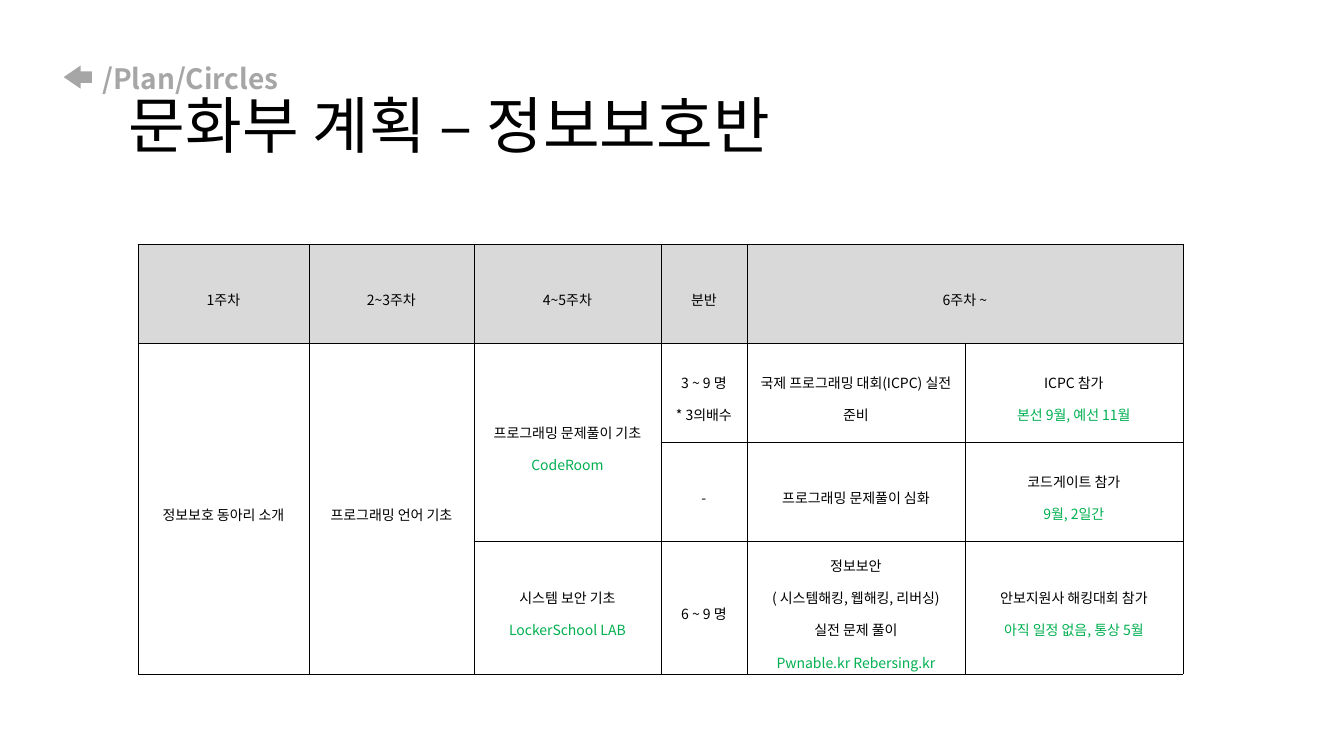
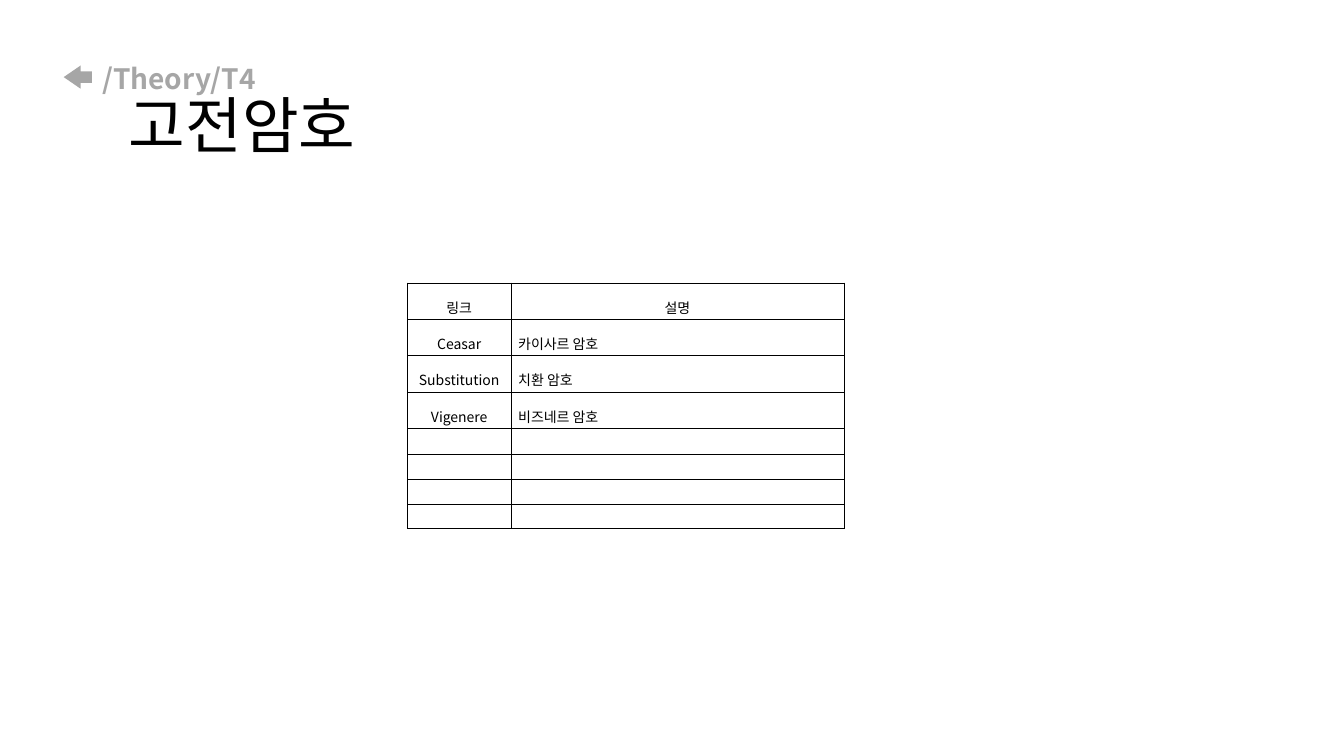
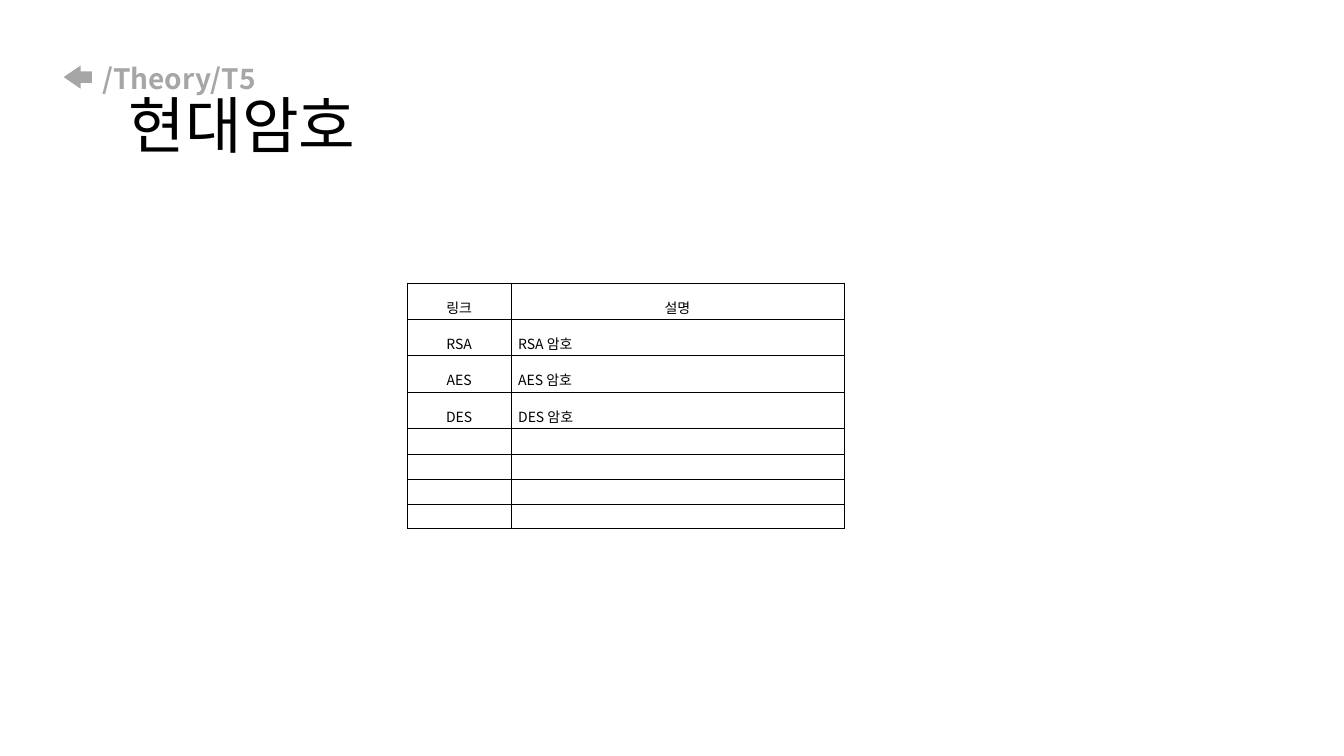
from dataclasses import dataclass, field

from lxml import etree
from pptx import Presentation
from pptx.dml.color import RGBColor
from pptx.enum.shapes import MSO_SHAPE
from pptx.enum.text import MSO_ANCHOR, PP_ALIGN
from pptx.oxml.ns import qn
from pptx.util import Pt

LEFT_ARROW = MSO_SHAPE.LEFT_ARROW
MIDDLE = MSO_ANCHOR.MIDDLE
CENTER, LEFT = PP_ALIGN.CENTER, PP_ALIGN.LEFT


@dataclass(frozen=True)
class Theme:
    font: str = "Noto Sans CJK KR"
    ink: str = "000000"
    muted: str = "A6A6A6"
    accent: str = "00B050"
    header: str = "D9D9D9"
    crumb_size: float = 20
    title_size: float = 44
    cell_size: float = 10
    border: float = 0.28
    cell_spacing: float = 1.6
    title_spacing: float = 0.9


THEME = Theme()


@dataclass(frozen=True)
class Line:
    text: str
    color: str = THEME.ink


@dataclass(frozen=True)
class CellText:
    row: int
    column: int
    lines: tuple[Line, ...]
    rows: int = 1
    columns: int = 1
    align: PP_ALIGN = CENTER
    fill: str | None = None


@dataclass(frozen=True)
class Grid:
    left: float
    top: float
    widths: tuple[float, ...]
    heights: tuple[float, ...]
    cells: list[CellText] = field(default_factory=list)


@dataclass(frozen=True)
class Page:
    crumb: str
    title: str
    grid: Grid


def apply(target, values: dict) -> None:
    for name, value in values.items():
        setattr(target, name, value)


def add_span(para, text: str, size: float, color: str, bold: bool = False) -> None:
    span = para.add_run()
    span.text = text
    apply(span.font, {"name": THEME.font, "size": Pt(size), "bold": bold})
    span.font.color.rgb = RGBColor.from_string(color)
    east_asian = etree.SubElement(span.font._element, qn("a:ea"))
    east_asian.set("typeface", THEME.font)


# Heading shared by every slide
def draw_heading(page, crumb: str, title: str) -> None:
    box = page.shapes.add_textbox(Pt(66), Pt(28.8), Pt(828), Pt(104.4))
    frame = box.text_frame
    apply(frame, {"word_wrap": True, "vertical_anchor": MIDDLE})
    first, second = frame.paragraphs[0], frame.add_paragraph()
    for para in (first, second):
        para.line_spacing = THEME.title_spacing
    add_span(first, crumb, THEME.crumb_size, THEME.muted, True)
    second._p.get_or_add_pPr().set("marL", str(Pt(19)))
    add_span(second, title, THEME.title_size, THEME.ink)

    arrow = page.shapes.add_shape(LEFT_ARROW, Pt(45.5), Pt(46.8), Pt(20.2), Pt(16.6))
    arrow.shadow.inherit = False
    arrow.adjustments[1] = 0.73
    arrow.fill.solid()
    arrow.fill.fore_color.rgb = RGBColor.from_string(THEME.muted)
    arrow.line.fill.background()


# Tables
def style_cell(cell) -> None:
    apply(cell, {
        "margin_left": Pt(5.1), "margin_right": Pt(5.1),
        "margin_top": Pt(1.4), "margin_bottom": Pt(1.4),
        "vertical_anchor": MIDDLE,
    })
    cell.fill.background()
    properties = cell._tc.get_or_add_tcPr()
    for index, side in enumerate(("a:lnL", "a:lnR", "a:lnT", "a:lnB")):
        border = etree.Element(qn(side), w=str(Pt(THEME.border)))
        fill = etree.SubElement(border, qn("a:solidFill"))
        etree.SubElement(fill, qn("a:srgbClr"), val=THEME.ink)
        properties.insert(index, border)


def set_empty_size(cell) -> None:
    end = etree.SubElement(cell.text_frame.paragraphs[0]._p, qn("a:endParaRPr"))
    end.set("sz", str(int(THEME.cell_size * 100)))
    for tag in ("a:latin", "a:ea"):
        etree.SubElement(end, qn(tag)).set("typeface", THEME.font)


def write_cell(cell, content: CellText) -> None:
    if content.fill:
        cell.fill.solid()
        cell.fill.fore_color.rgb = RGBColor.from_string(content.fill)
    frame = cell.text_frame
    for index, line in enumerate(content.lines):
        para = frame.add_paragraph() if index else frame.paragraphs[0]
        apply(para, {"alignment": content.align, "line_spacing": THEME.cell_spacing})
        add_span(para, line.text, THEME.cell_size, line.color)


def draw_grid(page, grid: Grid) -> None:
    table = page.shapes.add_table(
        len(grid.heights), len(grid.widths), Pt(grid.left), Pt(grid.top),
        Pt(sum(grid.widths)), Pt(sum(grid.heights)),
    ).table
    apply(table, {"first_row": False, "horz_banding": False})
    for column, width in zip(table.columns, grid.widths):
        column.width = Pt(width)
    for row, height in zip(table.rows, grid.heights):
        row.height = Pt(height)
    for cell in table.iter_cells():
        style_cell(cell)
    for content in grid.cells:
        cell = table.cell(content.row, content.column)
        if content.rows > 1 or content.columns > 1:
            cell.merge(table.cell(content.row + content.rows - 1,
                                  content.column + content.columns - 1))
        write_cell(cell, content)
    for cell in table.iter_cells():
        if not cell.text_frame.text:
            set_empty_size(cell)


# Content
def lines(*texts: str, link: str = "") -> tuple[Line, ...]:
    plain = tuple(Line(text) for text in texts)
    return plain + ((Line(link, THEME.accent),) if link else ())


def plan_grid() -> Grid:
    headings = ("1주차", "2~3주차", "4~5주차", "분반", "6주차 ~")
    cells = [
        CellText(0, column, lines(text), columns=2 if column == 4 else 1, fill=THEME.header)
        for column, text in enumerate(headings)
    ]
    cells += [
        CellText(1, 0, lines("정보보호 동아리 소개"), rows=3),
        CellText(1, 1, lines("프로그래밍 언어 기초"), rows=3),
        CellText(1, 2, lines("프로그래밍 문제풀이 기초", link="CodeRoom"), rows=2),
        CellText(1, 3, lines("3 ~ 9 명", "* 3의배수")),
        CellText(1, 4, lines("국제 프로그래밍 대회(ICPC) 실전 준비")),
        CellText(1, 5, lines("ICPC 참가", link="본선 9월, 예선 11월")),
        CellText(2, 3, lines("-")),
        CellText(2, 4, lines("프로그래밍 문제풀이 심화")),
        CellText(2, 5, lines("코드게이트 참가", link="9월, 2일간")),
        CellText(3, 2, lines("시스템 보안 기초", link="LockerSchool LAB")),
        CellText(3, 3, lines("6 ~ 9 명")),
        CellText(3, 4, lines("정보보안", "( 시스템해킹, 웹해킹, 리버싱)", "실전 문제 풀이",
                             link="Pwnable.kr Rebersing.kr")),
        CellText(3, 5, lines("안보지원사 해킹대회 참가", link="아직 일정 없음, 통상 5월")),
    ]
    return Grid(98.6, 174.3, (122, 118, 133.5, 61.5, 155.7, 155.7),
                (70.8, 70.8, 70.8, 95), cells)


def cipher_grid(*ciphers: tuple[str, str]) -> Grid:
    cells = [
        CellText(row, column, lines(text), align=LEFT if row and column else CENTER)
        for row, texts in enumerate((("링크", "설명"), *ciphers))
        for column, text in enumerate(texts)
    ]
    return Grid(290.9, 202, (74.2, 237.6), (26,) * 4 + (18.7, 17.4, 18, 17.4), cells)


def main() -> None:
    deck = Presentation()
    apply(deck, {"slide_width": Pt(960), "slide_height": Pt(540)})
    pages = (
        Page("/Plan/Circles", "문화부 계획 – 정보보호반", plan_grid()),
        Page("/Theory/T4", "고전암호", cipher_grid(
            ("Ceasar", "카이사르 암호"), ("Substitution", "치환 암호"),
            ("Vigenere", "비즈네르 암호"))),
        Page("/Theory/T5", "현대암호", cipher_grid(
            *((name, f"{name} 암호") for name in ("RSA", "AES", "DES")))),
    )
    for content in pages:
        page = deck.slides.add_slide(deck.slide_layouts[6])
        draw_heading(page, content.crumb, content.title)
        draw_grid(page, content.grid)
    deck.save("out.pptx")


if __name__ == "__main__":
    main()
